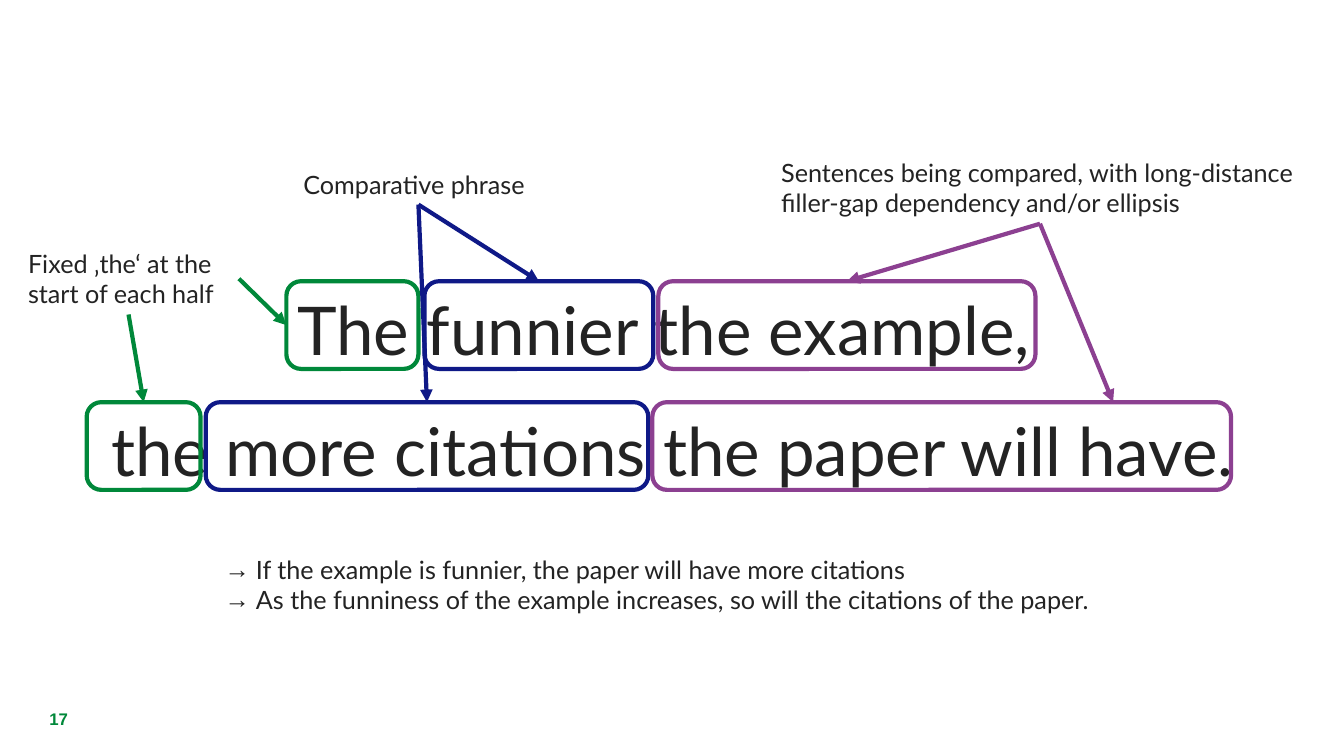
import pptx
import pptx.util
import pptx.dml.color
import pptx.enum.shapes
import pptx.enum.text
import pptx.oxml
import pptx.oxml.ns
from dataclasses import dataclass

PX = 9144  # EMU per px, 100 px to the inch
TOP, LEFT, BOTTOM, RIGHT = range(4)
ALIGN = pptx.enum.text.PP_ALIGN
ANCHOR = pptx.enum.text.MSO_ANCHOR


@dataclass(frozen=True)
class Theme:
    ink: str = "232323"
    green: str = "00883A"
    blue: str = "0F1987"
    plum: str = "8C4091"
    face: str = "Lato"
    page_face: str = "Arial"
    big: int = 48
    note: int = 18
    page: int = 12
    line: int = 3


THEME = Theme()


def px(*sizes):
    return [pptx.util.Emu(size * PX) for size in sizes]


def rgb(code):
    return pptx.dml.color.RGBColor.from_string(code)


def add_child(parent, tag, **attrs):
    node = pptx.oxml.parse_xml(f"<a:{tag} {pptx.oxml.ns.nsdecls('a')}/>")
    for key, value in attrs.items():
        node.set(key, value)
    parent.append(node)


def add_text(slide, box, lines, size=THEME.note, color=THEME.ink, face=THEME.face,
             bold=False, align=ALIGN.LEFT, anchor=ANCHOR.TOP, space=1.0,
             inset=True, bullet=None, indent=31):
    """Put one paragraph per line into a text box; box is left, top, width, height."""
    shape = slide.shapes.add_textbox(*px(*box))
    frame = shape.text_frame
    frame.word_wrap = True
    frame.vertical_anchor = anchor
    if not inset:
        frame.margin_left = frame.margin_right = 0
        frame.margin_top = frame.margin_bottom = 0
    for i, line in enumerate(lines):
        para = frame.paragraphs[0] if i == 0 else frame.add_paragraph()
        para.alignment = align
        para.line_spacing = space
        if bullet:
            props = para._p.get_or_add_pPr()
            props.set("marL", str(indent * PX))
            props.set("indent", str(-indent * PX))
            add_child(props, "buFont", typeface=THEME.page_face)
            add_child(props, "buChar", char=bullet)
        run = para.add_run()
        run.text = line
        run.font.size = pptx.util.Pt(size)
        run.font.name = face
        run.font.bold = bold
        run.font.color.rgb = rgb(color)
    return shape


def add_frame(slide, box, color):
    kind = pptx.enum.shapes.MSO_SHAPE.ROUNDED_RECTANGLE
    frame = slide.shapes.add_shape(kind, *px(*box))
    frame.shadow.inherit = False
    frame.fill.background()
    frame.line.color.rgb = rgb(color)
    frame.line.width = pptx.util.Pt(THEME.line)
    return frame


def add_arrow(slide, label, start, frame, side, color, shift=0):
    """Join a label to a frame; a shift moves the tip off the middle of its top."""
    tip = (frame.left + frame.width // 2 + shift * PX, frame.top)
    kind = pptx.enum.shapes.MSO_CONNECTOR.STRAIGHT
    arrow = slide.shapes.add_connector(kind, 0, 0, *tip)
    arrow.begin_connect(label, start)
    if not shift:
        arrow.end_connect(frame, side)
    arrow.line.color.rgb = rgb(color)
    arrow.line.width = pptx.util.Pt(THEME.line)
    add_child(arrow.line._get_or_add_ln(), "tailEnd", type="triangle")
    add_child(arrow._element.spPr, "effectLst")


def add_sentence(slide, box):
    """Write the two halves and return the three frames around each."""
    left, top, width, height = box
    add_text(slide, box, ["The funnier the example, ",
                          "the more citations the paper will have."],
             size=THEME.big, align=ALIGN.CENTER, anchor=ANCHOR.MIDDLE, space=1.5)
    colors = (THEME.green, THEME.blue, THEME.plum)
    rows = ((32, ((238, 131), (375, 227), (607, 374))),
            (152, ((40, 113), (158, 439), (601, 574))))
    return [[add_frame(slide, (left + x, top + y, wide, 87), color)
             for (x, wide), color in zip(spans, colors)]
            for y, spans in rows]


def add_labels(slide, box, frames):
    """Place the three labels and point each at its frame in both halves."""
    left, top = box[:2]
    upper, lower = frames
    fixed, phrase, clause = [
        add_text(slide, (left + x, top + y, wide, high), [text])
        for x, y, wide, high, text in (
            (0, 90, 219, 71, "Fixed ‚the‘ at the start of each half"),
            (273, 12, 248, 40, "Comparative phrase"),
            (747, 0, 533, 71, "Sentences being compared, with long-distance "
                              "filler-gap dependency and/or ellipsis"))]
    for label, start, frame, side, color, shift in (
            (fixed, BOTTOM, lower[0], TOP, THEME.green, 0),
            (fixed, RIGHT, upper[0], LEFT, THEME.green, 0),
            (phrase, BOTTOM, upper[1], TOP, THEME.blue, 0),
            (phrase, BOTTOM, lower[1], TOP, THEME.blue, 0),
            (clause, BOTTOM, upper[2], TOP, THEME.plum, 0),
            (clause, BOTTOM, lower[2], TOP, THEME.plum, 170)):
        add_arrow(slide, label, start, frame, side, color, shift)


def add_meaning(slide, box):
    add_text(slide, box, [
        "If the example is funnier, the paper will have more citations",
        "As the funniness of the example increases, so will the citations of the paper."],
        bullet="→")


def add_page(slide, box):
    add_text(slide, box, ["17"], size=THEME.page, color=THEME.green,
             face=THEME.page_face, bold=True, inset=False)


def main():
    deck = pptx.Presentation()
    deck.slide_width, deck.slide_height = px(1333, 750)
    slide = deck.slides.add_slide(deck.slide_layouts[6])
    add_page(slide, (49, 703, 79, 30))
    frames = add_sentence(slide, (46, 247, 1242, 238))
    add_labels(slide, (18, 151, 1280, 161), frames)
    add_meaning(slide, (213, 545, 908, 71))
    deck.save("out.pptx")


if __name__ == "__main__":
    main()
